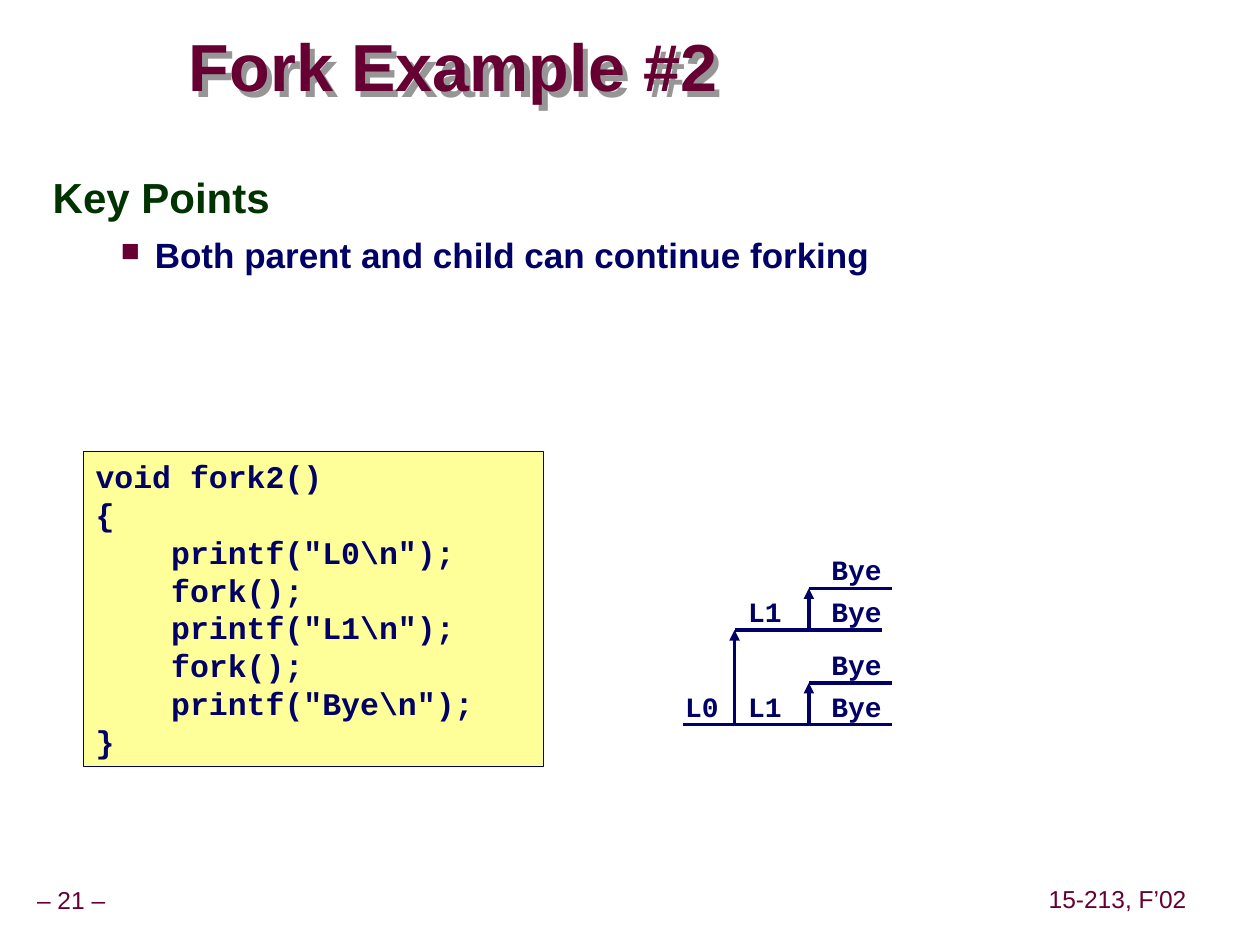
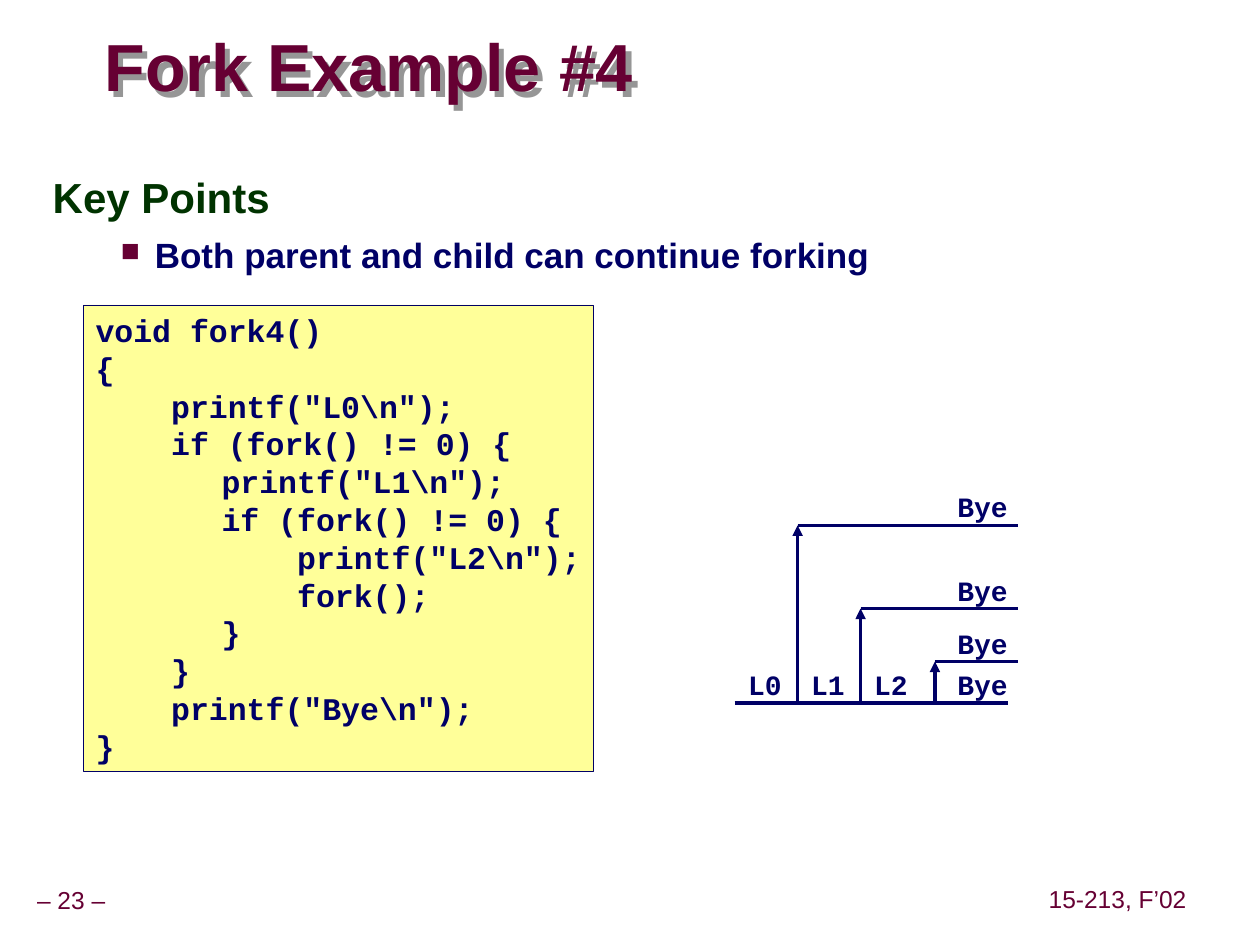
from lxml.etree import SubElement as Sub
from pptx import Presentation
from pptx.dml.color import RGBColor as RGB
from pptx.enum.shapes import MSO_CONNECTOR as Conn, MSO_SHAPE as Shape
from pptx.enum.text import MSO_ANCHOR as Anchor, MSO_AUTO_SIZE as Auto, PP_ALIGN as Align
from pptx.oxml.ns import qn
from pptx.util import Inches, Pt

WINE = RGB(0x66, 0x00, 0x33)
NAVY = RGB(0x00, 0x00, 0x66)
GREEN = RGB(0x00, 0x33, 0x00)
CREAM = RGB(0xFF, 0xFF, 0x99)
GRAY = RGB(0x96, 0x96, 0x96)
SANS, MONO = "Arial", "Courier New"

CODE_2 = r"""void fork2()
{
    printf("L0\n");
    fork();
    printf("L1\n");
    fork();
    printf("Bye\n");
}"""

CODE_4 = r"""void fork4()
{
    printf("L0\n");
    if (fork() != 0) {
	printf("L1\n");
	if (fork() != 0) {
	    printf("L2\n");
	    fork();
	}
    }
    printf("Bye\n");
}"""


class Deck:
    """Holds the shared style and the current slide."""

    def __init__(self):
        self.prs = Presentation()
        self.prs.slide_width, self.prs.slide_height = Inches(10), Inches(7.5)

    def run(self, para, text, size, color, face=SANS, bold=True):
        run = para.add_run()
        run.text = text
        font = run.font
        font.name, font.size, font.bold = face, Pt(size), bold
        font.color.rgb = color

    def frame(self, shape, side=0.1, edge=0.05, wrap=False, anchor=Anchor.TOP):
        frame = shape.text_frame
        frame.word_wrap, frame.vertical_anchor = wrap, anchor
        frame.auto_size = Auto.NONE if wrap else Auto.SHAPE_TO_FIT_TEXT
        frame.margin_left = frame.margin_right = Inches(side)
        frame.margin_top = frame.margin_bottom = Inches(edge)
        return frame

    def box(self, x, y, w, h, **style):
        area = [Inches(n) for n in (x, y, w, h)]
        return self.frame(self.slide.shapes.add_textbox(*area), **style)

    def start(self, title, left, page):
        self.slide = self.prs.slides.add_slide(self.prs.slide_layouts[6])
        self.foot(f"– {page} –", -0.09, 7, 1.31)
        self.foot("15-213, F’02", 8.27, 6.99, 1.2)
        self.title(title, left)

    def foot(self, text, x, y, w):
        para = self.box(x, y, w, 0.31, side=0.05, anchor=Anchor.MIDDLE).paragraphs[0]
        para.alignment, para.line_spacing = Align.CENTER, 0.9
        self.run(para, text, 14, WINE, bold=False)

    def title(self, text, x):
        frame = self.box(x, 0.25, 7.07 - x, 0.63, side=0, edge=0,
                         wrap=True, anchor=Anchor.MIDDLE)
        para = frame.paragraphs[0]
        para.line_spacing = 0.87
        self.run(para, text, 38, WINE)
        props = self.slide.shapes[-1]._element.spPr
        shade = Sub(Sub(props, qn("a:effectLst")), qn("a:outerShdw"),
                    dist=str(Inches(0.06)), dir="2700000", algn="ctr", rotWithShape="0")
        Sub(shade, qn("a:srgbClr"), val=str(GRAY))

    def points(self, head, *items):
        frame = self.box(0.32, 1.34, 9.09, 5.71, wrap=True)
        para = frame.paragraphs[0]
        para.line_spacing = 0.95
        self.run(para, head, 24, GREEN)
        for item in items:
            para = frame.add_paragraph()
            props = para._p.get_or_add_pPr()
            props.set("marL", str(Inches(0.81)))
            props.set("indent", str(Inches(-0.27)))
            Sub(Sub(props, qn("a:buClr")), qn("a:srgbClr"), val=str(WINE))
            Sub(props, qn("a:buSzPct"), val="75000")
            Sub(props, qn("a:buChar"), char="■")
            para.space_before = Pt(6.2)
            self.run(para, item, 20, NAVY)

    def code(self, text, y, w, h):
        area = [Inches(n) for n in (0.66, y, w, h)]
        shape = self.slide.shapes.add_shape(Shape.RECTANGLE, *area)
        shape.shadow.inherit = False
        shape.fill.solid()
        shape.fill.fore_color.rgb = CREAM
        shape.line.color.rgb, shape.line.width = NAVY, Pt(0.25)
        frame = self.frame(shape)
        for i, line in enumerate(text.split("\n")):
            para = frame.add_paragraph() if i else frame.paragraphs[0]
            tabs = Sub(para._p.get_or_add_pPr(), qn("a:tabLst"))
            Sub(tabs, qn("a:tab"), pos=str(Inches(1)), algn="l")
            para.alignment = Align.LEFT
            self.run(para, line, 18, NAVY, MONO)

    def line(self, x1, y1, x2, y2, arrow=False):
        ends = [Inches(n) for n in (x1, y1, x2, y2)]
        link = self.slide.shapes.add_connector(Conn.STRAIGHT, *ends)
        link.line.color.rgb, link.line.width = NAVY, Pt(2)
        if arrow:
            Sub(link.line._get_or_add_ln(), qn("a:tailEnd"), type="triangle")
        Sub(link._element.spPr, qn("a:effectLst"))

    def lane(self, y, stops, labels):
        for left, right in zip(stops, stops[1:]):
            self.line(left, y, right, y)
        for text, x in labels:
            width = 0.6 if text == "Bye" else 0.47
            para = self.box(x, y - 0.33, width, 0.37).paragraphs[0]
            self.run(para, text, 16, NAVY, MONO)

    def fork(self, x, low, high):
        self.line(x, low, x, high, arrow=True)


def main():
    deck = Deck()
    head, note = "Key Points", "Both parent and child can continue forking"

    deck.start("Fork Example #2", 1.5, 21)
    deck.code(CODE_2, 3.58, 3.65, 2.5)
    deck.points(head, note)
    bye = ("Bye", 6.5)
    deck.lane(5.75, (5.42, 5.83, 6.42, 7.08), [("L0", 5.34), ("L1", 5.84), bye])
    deck.lane(5, (5.83, 6.42, 7), [("L1", 5.84), bye])
    deck.fork(5.83, 5.75, 5)
    for low, high in ((5.75, 5.42), (5, 4.67)):
        deck.fork(6.42, low, high)
        deck.lane(high, (6.42, 7.08), [bye])

    deck.start("Fork Example #4", 0.83, 23)
    deck.code(CODE_4, 2.42, 4.05, 3.7)
    deck.points(head, note)
    bye = ("Bye", 7.5)
    marks = [(f"L{i}", 5.84 + 0.5 * i) for i in range(3)]
    deck.lane(5.58, (5.83, 6.33, 6.83, 7.42, 8), [*marks, bye])
    for x, high in ((6.33, 4.17), (6.83, 4.83), (7.42, 5.25)):
        deck.fork(x, 5.58, high)
        deck.lane(high, (x, 8.08), [bye])

    deck.prs.save("out.pptx")


if __name__ == "__main__":
    main()
